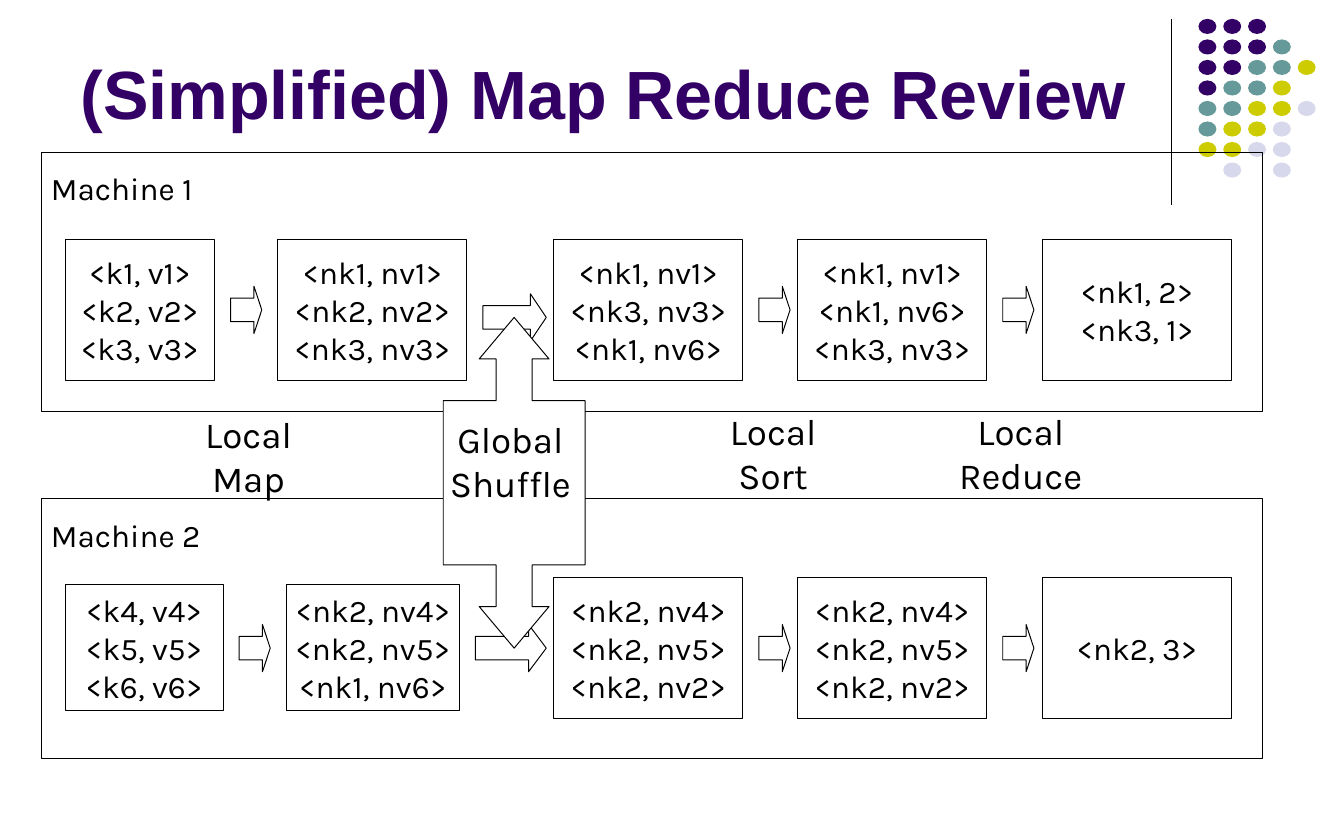
from lxml import etree
from pptx import Presentation
from pptx.dml.color import RGBColor
from pptx.enum import shapes, text
from pptx.oxml import ns
from pptx.util import Inches, Pt

BLACK = RGBColor(0x00, 0x00, 0x00)
WHITE = RGBColor(0xFF, 0xFF, 0xFF)
PURPLE = RGBColor(0x33, 0x00, 0x66)
TEAL = RGBColor(0x66, 0x99, 0x99)
LIME = RGBColor(0xCC, 0xCC, 0x00)
LAVENDER = RGBColor(0xD8, 0xD8, 0xEC)

DOT_COLOURS = {"P": PURPLE, "T": TEAL, "Y": LIME, "L": LAVENDER}
DOT_ROWS = ["PPP", "PPPT", "PPTTY", "PTTY", "TTYYL", "TYYL", "YYLL", " L L"]

BODY = {"name": "Karla", "size": Pt(24)}
CAPTION = {"name": "Karla", "size": Pt(28)}
HEADING = {"name": "Arial", "size": Pt(52), "bold": True}

MACHINES = [("Machine 2", 5.28), ("Machine 1", 1.61)]

# left, top, width, height, key-value pairs
PAIR_BOXES = [
    (0.69, 2.53, 1.58, 1.5, ["<k1, v1>", "<k2, v2>", "<k3, v3>"]),
    (2.94, 2.53, 2, 1.5, ["<nk1, nv1>", "<nk2, nv2>", "<nk3, nv3>"]),
    (5.86, 2.53, 2, 1.5, ["<nk1, nv1>", "<nk3, nv3>", "<nk1, nv6>"]),
    (8.44, 2.53, 2, 1.5, ["<nk1, nv1>", "<nk1, nv6>", "<nk3, nv3>"]),
    (11.03, 2.53, 2, 1.5, ["<nk1, 2>", "<nk3, 1>"]),
    (0.69, 6.19, 1.67, 1.33, ["<k4, v4>", "<k5, v5>", "<k6, v6>"]),
    (3.03, 6.19, 1.83, 1.33, ["<nk2, nv4>", "<nk2, nv5>", "<nk1, nv6>"]),
    (5.86, 6.11, 2, 1.5, ["<nk2, nv4>", "<nk2, nv5>", "<nk2, nv2>"]),
    (8.44, 6.11, 2, 1.5, ["<nk2, nv4>", "<nk2, nv5>", "<nk2, nv2>"]),
    (11.03, 6.11, 2, 1.5, ["<nk2, 3>"]),
]

# left, top, width
STEP_ARROWS = [
    (2.44, 3.03, 0.33), (5.11, 3.11, 0.67), (8.03, 3.03, 0.33), (10.61, 3.03, 0.33),
    (2.53, 6.61, 0.33), (5.03, 6.61, 0.75), (8.03, 6.61, 0.33), (10.61, 6.61, 0.33),
]
ARROW_HEIGHT = 0.5

# left, top, width, words
STEP_CAPTIONS = [
    (2.06, 4.31, 1.14, ["Local", "Map"]),
    (4.66, 4.36, 1.48, ["Global", "Shuffle"]),
    (7.61, 4.28, 1.14, ["Local", "Sort"]),
    (10.03, 4.28, 1.54, ["Local", "Reduce"]),
]


def write(frame, lines, style, colour=BLACK, align=text.PP_ALIGN.CENTER):
    """Fill a text frame with one paragraph per line."""
    for index, line in enumerate(lines):
        paragraph = frame.add_paragraph() if index else frame.paragraphs[0]
        paragraph.alignment = align
        run = paragraph.add_run()
        run.text = line
        for key, value in style.items():
            setattr(run.font, key, value)
        run.font.color.rgb = colour


def outline(shape, fill=None):
    """Give a shape a thin black line, no shadow and an optional fill."""
    shape.shadow.inherit = False
    shape.line.color.rgb = BLACK
    shape.line.width = Pt(0.75)
    if fill is None:
        shape.fill.background()
    else:
        shape.fill.solid()
        shape.fill.fore_color.rgb = fill


def add_preset(slide, kind, left, top, width, height):
    return slide.shapes.add_shape(
        kind, Inches(left), Inches(top), Inches(width), Inches(height))


def add_corner_dots(slide):
    for row, colours in enumerate(DOT_ROWS):
        for column, code in enumerate(colours):
            if code in DOT_COLOURS:
                dot = add_preset(slide, shapes.MSO_SHAPE.OVAL,
                                 12.68 + column * 1.05 / 4, 0.2 + row * 1.52 / 7,
                                 0.19, 0.16)
                dot.shadow.inherit = False
                dot.fill.solid()
                dot.fill.fore_color.rgb = DOT_COLOURS[code]
                dot.line.fill.background()


def add_corner_rule(slide):
    rule = slide.shapes.add_connector(
        shapes.MSO_CONNECTOR.STRAIGHT,
        Inches(12.39), Inches(0.2), Inches(12.39), Inches(2.17))
    rule.line.color.rgb = BLACK
    rule.line.width = Pt(0.75)
    etree.SubElement(rule._element.spPr, ns.qn("a:effectLst"))


def add_title(slide, words):
    title = slide.shapes.title
    title.left, title.top = Inches(0.85), Inches(0.54)
    title.width, title.height = Inches(11.45), Inches(0.82)
    frame = title.text_frame
    layout = {"margin_left": 0, "margin_top": 0, "margin_right": 0, "margin_bottom": 0,
              "vertical_anchor": text.MSO_ANCHOR.TOP, "word_wrap": True,
              "auto_size": text.MSO_AUTO_SIZE.NONE}
    for key, value in layout.items():
        setattr(frame, key, value)
    write(frame, [words], HEADING, PURPLE, text.PP_ALIGN.LEFT)


def add_machine(slide, name, top):
    machine = add_preset(slide, shapes.MSO_SHAPE.RECTANGLE, 0.44, top, 12.92, 2.75)
    outline(machine)
    frame = machine.text_frame
    frame.vertical_anchor = text.MSO_ANCHOR.TOP
    frame.margin_top = Inches(0.18)
    write(frame, [name], BODY, align=text.PP_ALIGN.LEFT)


def add_pair_box(slide, left, top, width, height, pairs):
    box = add_preset(slide, shapes.MSO_SHAPE.RECTANGLE, left, top, width, height)
    outline(box, WHITE)
    tint = box._element.spPr.find(ns.qn("a:solidFill"))[0]
    etree.SubElement(tint, ns.qn("a:alpha"), val="50000")
    box.text_frame.word_wrap = False
    box.text_frame.vertical_anchor = text.MSO_ANCHOR.MIDDLE
    write(box.text_frame, pairs, BODY)


def add_step_arrow(slide, left, top, width):
    arrow = add_preset(slide, shapes.MSO_SHAPE.RIGHT_ARROW, left, top, width, ARROW_HEIGHT)
    arrow.adjustments[1] = 0.25 * width / ARROW_HEIGHT if width > ARROW_HEIGHT else 0.25
    outline(arrow, WHITE)


def add_shuffle_arrow(slide):
    """Draw the box with an arrowhead above and below, mirrored about its centre."""
    centre_x, centre_y = 5.44, 5.11
    corner = [(0.75, 0.87), (0.19, 0.87), (0.19, 1.31), (0.37, 1.31), (0, 1.75)]
    right_down = corner[::-1]
    quarters = [(-1, 1, corner), (1, 1, right_down), (1, -1, corner), (-1, -1, right_down)]
    points = [(Inches(centre_x + sx * x), Inches(centre_y + sy * y))
              for sx, sy, quarter in quarters for x, y in quarter]
    builder = slide.shapes.build_freeform(*points[0])
    builder.add_line_segments(points[1:], close=True)
    outline(builder.convert_to_shape(), WHITE)


def add_caption(slide, left, top, width, words):
    caption = slide.shapes.add_textbox(
        Inches(left), Inches(top), Inches(width), Inches(1.04))
    caption.text_frame.word_wrap = False
    write(caption.text_frame, words, CAPTION)


def main():
    deck = Presentation()
    deck.slide_width, deck.slide_height = Inches(14.22), Inches(8.89)
    slide = deck.slides.add_slide(deck.slide_layouts[5])
    add_corner_rule(slide)
    add_corner_dots(slide)
    add_title(slide, "(Simplified) Map Reduce Review")
    for machine in MACHINES:
        add_machine(slide, *machine)
    for box in PAIR_BOXES:
        add_pair_box(slide, *box)
    for arrow in STEP_ARROWS:
        add_step_arrow(slide, *arrow)
    add_shuffle_arrow(slide)
    for caption in STEP_CAPTIONS:
        add_caption(slide, *caption)
    deck.save("out.pptx")


if __name__ == "__main__":
    main()
